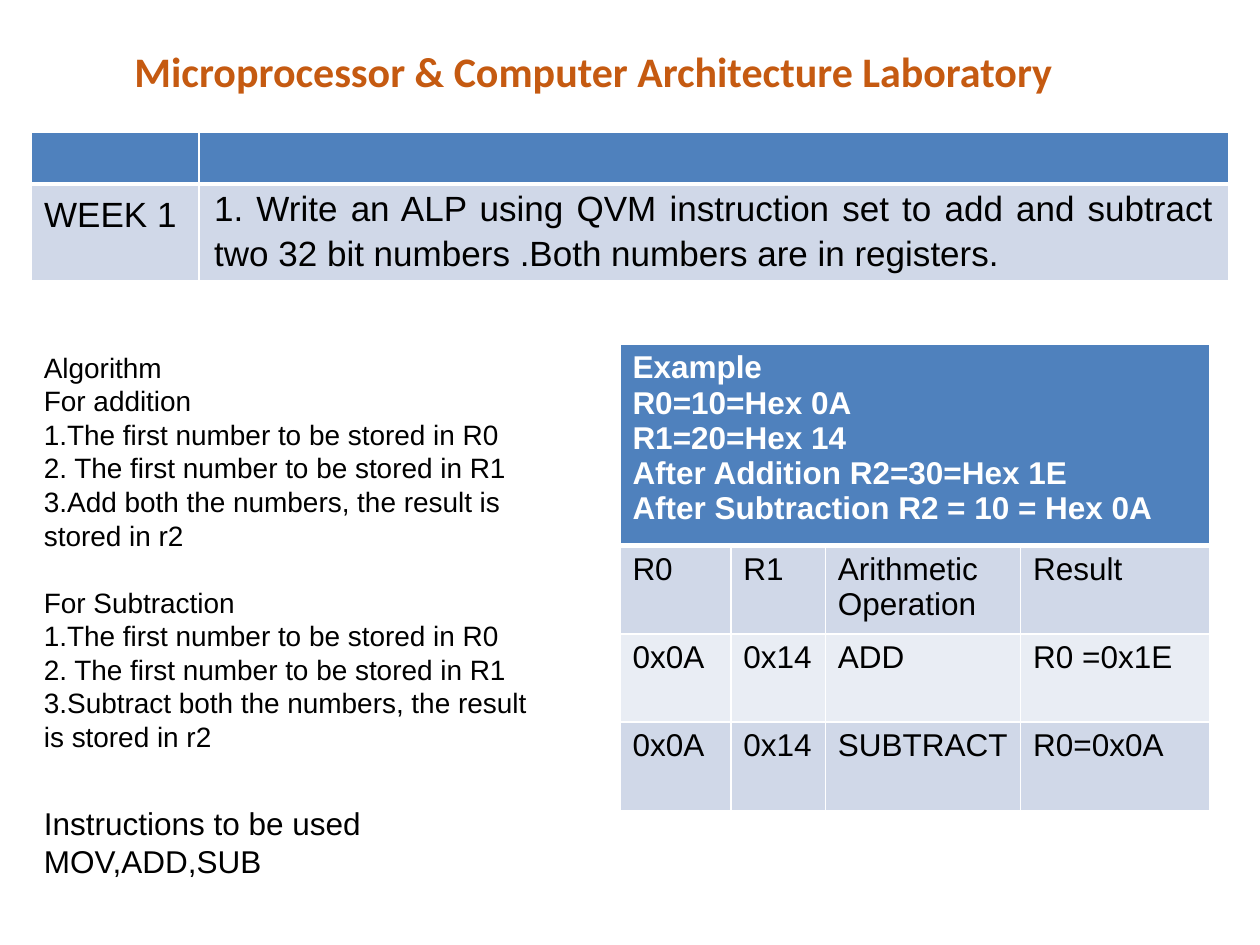
from lxml import etree
from pptx import Presentation
from pptx.dml.color import RGBColor
from pptx.enum.text import MSO_ANCHOR, PP_ALIGN
from pptx.oxml.ns import qn
from pptx.util import Inches, Pt

CENTER, JUSTIFY = PP_ALIGN.CENTER, PP_ALIGN.JUSTIFY
MIDDLE, TOP = MSO_ANCHOR.MIDDLE, MSO_ANCHOR.TOP
BLACK, WHITE, RUST = "000000", "FFFFFF", "C55A11"
HEAD, BANDS = "4F81BD", ("D0D8E8", "E9EDF4")

STEPS = ["1.The first number to be stored in R0",
         "2. The first number to be stored in R1"]
ADD = ["Algorithm", "For addition", *STEPS,
       "3.Add both the numbers, the result is stored in r2"]
SUB = ["For Subtraction", *STEPS,
       "3.Subtract both the numbers, the result is stored in r2"]
EXAMPLE = ["Example", "R0=10=Hex 0A", "R1=20=Hex 14",
           "After Addition R2=30=Hex 1E",
           "After Subtraction R2 = 10 = Hex 0A"]
RESULTS = [["R0", "R1", "Arithmetic Operation", "Result"],
           ["0x0A", "0x14", "ADD", "R0 =0x1E"],
           ["0x0A", "0x14", "SUBTRACT", "R0=0x0A"]]
TASK = ("1. Write an ALP using QVM instruction set to add and subtract "
        "two 32 bit numbers .Both numbers are in registers.")


def color(code):
    """Turn a hex string into a colour."""
    return RGBColor.from_string(code)


def write(frame, lines, size, ink=BLACK, bold=False, font="Arial",
          align=None, pitch=None):
    """Fill a text frame with one paragraph per line."""
    for i, line in enumerate(lines):
        para = frame.paragraphs[0] if i == 0 else frame.add_paragraph()
        para.alignment = align
        para.line_spacing = pitch
        run = para.add_run()
        run.text = line
        run.font.name = font
        run.font.size = Pt(size)
        run.font.bold = bold
        run.font.color.rgb = color(ink)


def add_text(slide, box, lines, size, anchor=TOP, **style):
    """Add a wrapping text box and return its frame."""
    frame = slide.shapes.add_textbox(*map(Inches, box)).text_frame
    frame.word_wrap = True
    frame.vertical_anchor = anchor
    write(frame, lines, size, **style)
    return frame


def add_edges(cell, top, base):
    """Draw white borders of the given top and bottom widths."""
    props = cell._tc.get_or_add_tcPr()
    edges = (("a:lnL", 1), ("a:lnR", 1), ("a:lnT", top), ("a:lnB", base))
    for i, (tag, width) in enumerate(edges):
        line = etree.Element(qn(tag), w=str(Pt(width)))
        fill = etree.SubElement(line, qn("a:solidFill"))
        etree.SubElement(fill, qn("a:srgbClr"), val=WHITE)
        props.insert(i, line)


def add_grid(slide, left, top, cols, rows):
    """Add a table with a blue head row and banded body rows."""
    shape = slide.shapes.add_table(
        len(rows), len(cols), Inches(left), Inches(top),
        Inches(sum(cols)), Inches(sum(rows)))
    grid = shape.table
    for col, width in zip(grid.columns, cols):
        col.width = Inches(width)
    for r, high in enumerate(rows):
        grid.rows[r].height = Inches(high)
        for cell in grid.rows[r].cells:
            cell.fill.solid()
            cell.fill.fore_color.rgb = color(BANDS[(r - 1) % 2] if r else HEAD)
            add_edges(cell, 3 if r == 1 else 1, 1 if r else 3)
    return grid


def add_week(slide):
    """Add the table that states the task of the week."""
    grid = add_grid(slide, 0.25, 1.05, [1.33, 8.17], [0.41, 0.76])
    week, task = grid.rows[1].cells
    for cell, text in ((week, "WEEK 1"), (task, TASK)):
        write(cell.text_frame, [text], 20, align=JUSTIFY, pitch=1.15)
    task.margin_left = task.margin_right = Inches(0.12)
    task.margin_top = task.margin_bottom = 0


def add_sample(slide):
    """Add the table with the worked example."""
    grid = add_grid(slide, 4.92, 2.73, [0.88, 0.75, 1.55, 1.5],
                    [1.6, 0.7, 0.7, 0.7])
    grid.cell(0, 0).merge(grid.cell(0, 3))
    write(grid.cell(0, 0).text_frame, EXAMPLE, 18, ink=WHITE, bold=True)
    for r, row in enumerate(RESULTS, 1):
        for c, text in enumerate(row):
            write(grid.cell(r, c).text_frame, [text], 18)


def main():
    """Build the slide and save it."""
    deck = Presentation()
    deck.slide_width, deck.slide_height = Inches(10), Inches(7.5)
    slide = deck.slides.add_slide(deck.slide_layouts[6])
    add_text(slide, (0.25, 0.31, 8.92, 0.5),
             ["Microprocessor & Computer Architecture Laboratory"], 24,
             anchor=MIDDLE, ink=RUST, bold=True, font="Calibri", align=CENTER)
    add_week(slide)
    steps = add_text(slide, (0.25, 2.73, 4.25, 4.68), ADD + SUB, 16)
    steps.paragraphs[len(ADD)].space_before = Pt(19.2)
    add_sample(slide)
    add_text(slide, (0.25, 6.33, 3.98, 0.71),
             ["Instructions to be used", "MOV,ADD,SUB"], 18)
    deck.save("out.pptx")


main()
